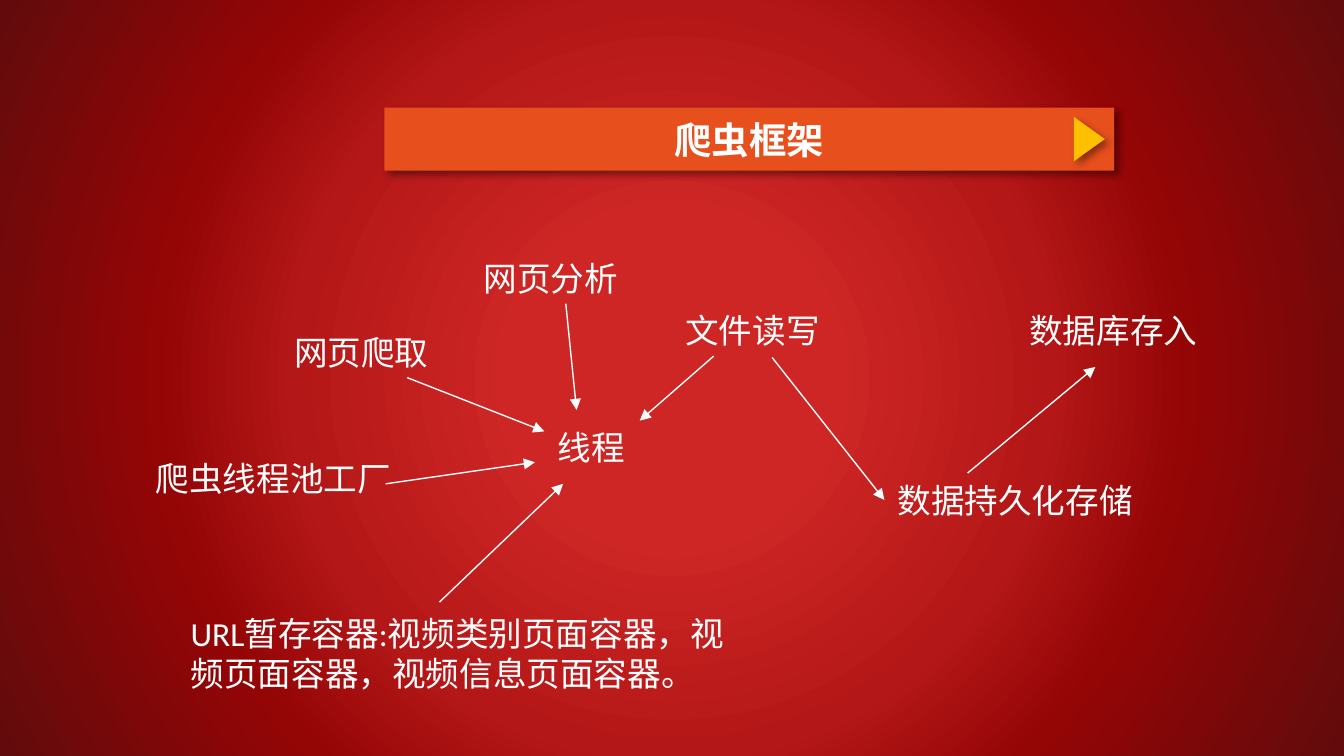
from lxml.etree import SubElement
from pptx import Presentation
from pptx.dml.color import RGBColor
from pptx.enum.shapes import MSO_CONNECTOR, MSO_SHAPE
from pptx.enum.text import MSO_ANCHOR, MSO_AUTO_SIZE, PP_ALIGN
from pptx.oxml import parse_xml
from pptx.oxml.ns import nsdecls, qn
from pptx.util import Inches, Pt

WHITE = RGBColor(0xFF, 0xFF, 0xFF)
ORANGE = RGBColor(0xE7, 0x4F, 0x1D)
AMBER = RGBColor(0xFF, 0xC0, 0x00)
BACKGROUND_STOPS = [
    (21, RGBColor(0xCD, 0x26, 0x25)),
    (49, RGBColor(0xB4, 0x17, 0x17)),
    (67, RGBColor(0x94, 0x05, 0x06)),
    (100, RGBColor(0x61, 0x0B, 0x0C)),
]


def add_shadow(shape):
    shape.shadow.inherit = False
    effects = shape.element.spPr.find(qn("a:effectLst"))
    effects.append(parse_xml(
        f'<a:outerShdw {nsdecls("a")} blurRad="{Pt(4)}" dist="{Pt(3)}" dir="2700000"'
        ' algn="tl" rotWithShape="0"><a:srgbClr val="000000"><a:alpha val="40000"/>'
        '</a:srgbClr></a:outerShdw>'))


def write(paragraph, text, size, bold=False):
    span = paragraph.add_run()
    span.text = text
    span.font.name = "Calibri"
    span.font.size = Pt(size)
    span.font.bold = bold
    span.font.color.rgb = WHITE


deck = Presentation()
deck.slide_width = Inches(10)
deck.slide_height = Inches(10 * 9 / 16)
page = deck.slides.add_slide(deck.slide_layouts[5])

page.background.fill.gradient()
gradient = page.element.find(".//" + qn("a:gradFill"))
stops = "".join(
    f'<a:gs pos="{position * 1000}"><a:srgbClr val="{color}"/></a:gs>'
    for position, color in BACKGROUND_STOPS)
gradient.getparent().replace(gradient, parse_xml(
    f'<a:gradFill {nsdecls("a")} rotWithShape="1"><a:gsLst>{stops}</a:gsLst>'
    '<a:path path="circle"><a:fillToRect l="50000" t="50000" r="50000" b="50000"/>'
    '</a:path></a:gradFill>'))

title = page.shapes.title
title.left, title.top = Inches(2.86), Inches(0.8)
title.width, title.height = Inches(5.43), Inches(0.47)
title.fill.solid()
title.fill.fore_color.rgb = ORANGE
add_shadow(title)
title.text_frame.vertical_anchor = MSO_ANCHOR.MIDDLE
title.text_frame.auto_size = MSO_AUTO_SIZE.NONE
heading = title.text_frame.paragraphs[0]
heading.alignment = PP_ALIGN.CENTER
write(heading, "爬虫框架", 20, bold=True)

marker = page.shapes.add_shape(
    MSO_SHAPE.ISOSCELES_TRIANGLE, Inches(7.94), Inches(0.92), Inches(0.33), Inches(0.23))
marker.rotation = 90
marker.fill.solid()
marker.fill.fore_color.rgb = AMBER
marker.line.fill.background()
add_shadow(marker)

labels = [
    ("网页爬取", 2.09, 2.42, 1.25, 0.4),
    ("网页分析", 3.5, 1.87, 1.3, 0.4),
    ("文件读写", 5, 2.26, 1.49, 0.4),
    ("爬虫线程池工厂", 1.06, 3.36, 2.08, 0.4),
    ("线程", 4.05, 3.13, 0.85, 0.4),
    ("数据库存入", 7.56, 2.26, 1.46, 0.4),
    ("数据持久化存储", 6.58, 3.52, 2.03, 0.4),
    ("URL暂存容器:视频类别页面容器，视频页面容器，视频信息页面容器。", 1.32, 4.51, 4.18, 0.7),
]
boxes = {}
for text, left, top, width, height in labels:
    box = page.shapes.add_textbox(Inches(left), Inches(top), Inches(width), Inches(height))
    box.text_frame.word_wrap = True
    box.text_frame.auto_size = MSO_AUTO_SIZE.SHAPE_TO_FIT_TEXT
    write(box.text_frame.paragraphs[0], text, 18)
    boxes[text] = box

arrows = [
    (3.03, 2.81, 4.05, 3.21),
    (2.87, 3.6, 3.98, 3.44),
    (5.31, 2.65, 4.76, 3.13),
    (4.21, 2.26, 4.29, 3.05),
    (7.2, 3.52, 8.15, 2.73),
    (3.27, 4.48, 4.19, 3.6),
    (5.75, 2.66, 6.58, 3.72),
]
for ends in arrows:
    arrow = page.shapes.add_connector(MSO_CONNECTOR.STRAIGHT, *map(Inches, ends))
    arrow.line.color.rgb = WHITE
    arrow.line.width = Pt(0.75)
    properties = arrow.element.spPr
    SubElement(properties.find(qn("a:ln")), qn("a:tailEnd"), type="triangle")
    SubElement(properties, qn("a:effectLst"))

storage_arrow = arrow
storage_arrow.begin_connect(boxes["文件读写"], 2)
storage_arrow.end_connect(boxes["数据持久化存储"], 1)

deck.save("out.pptx")
